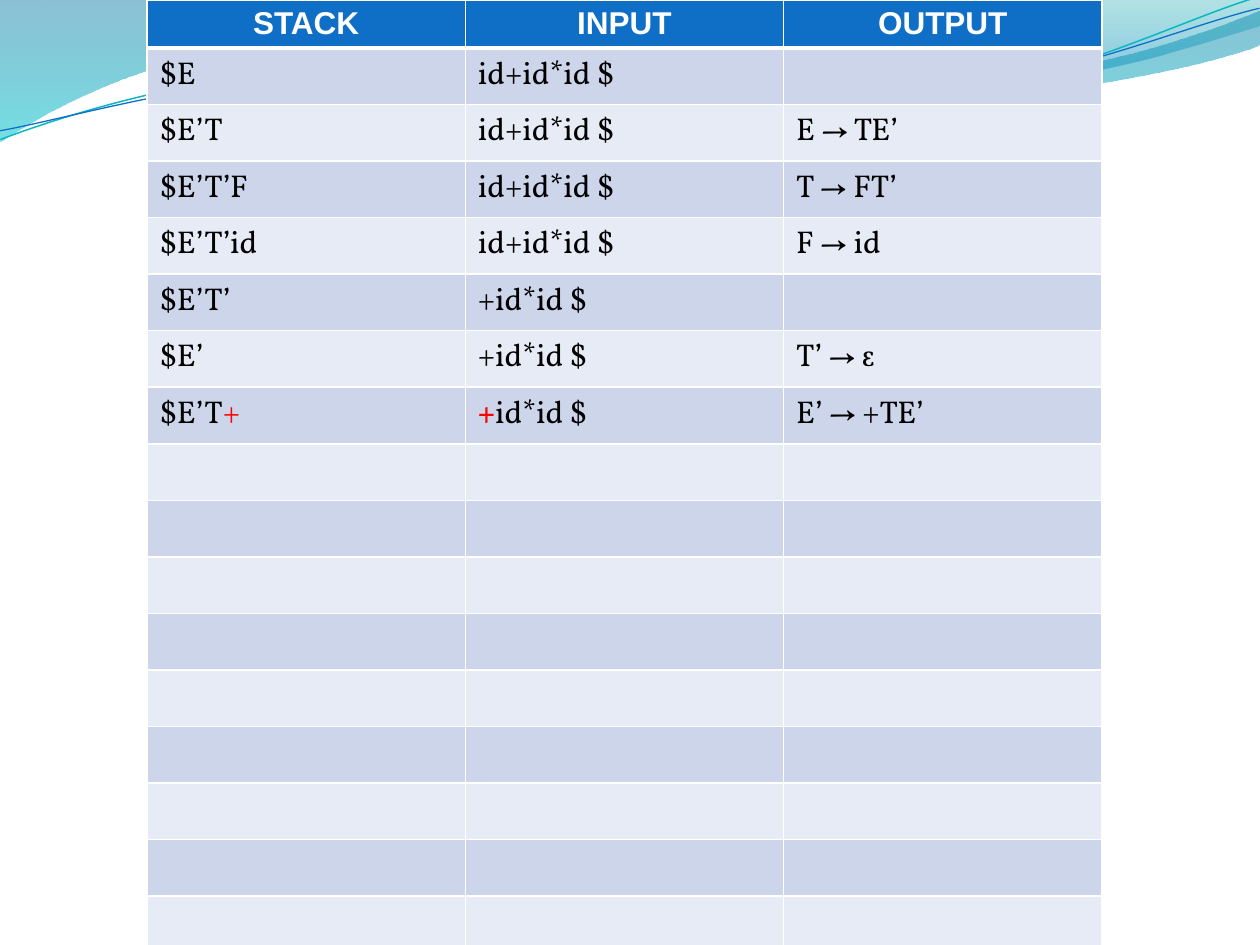
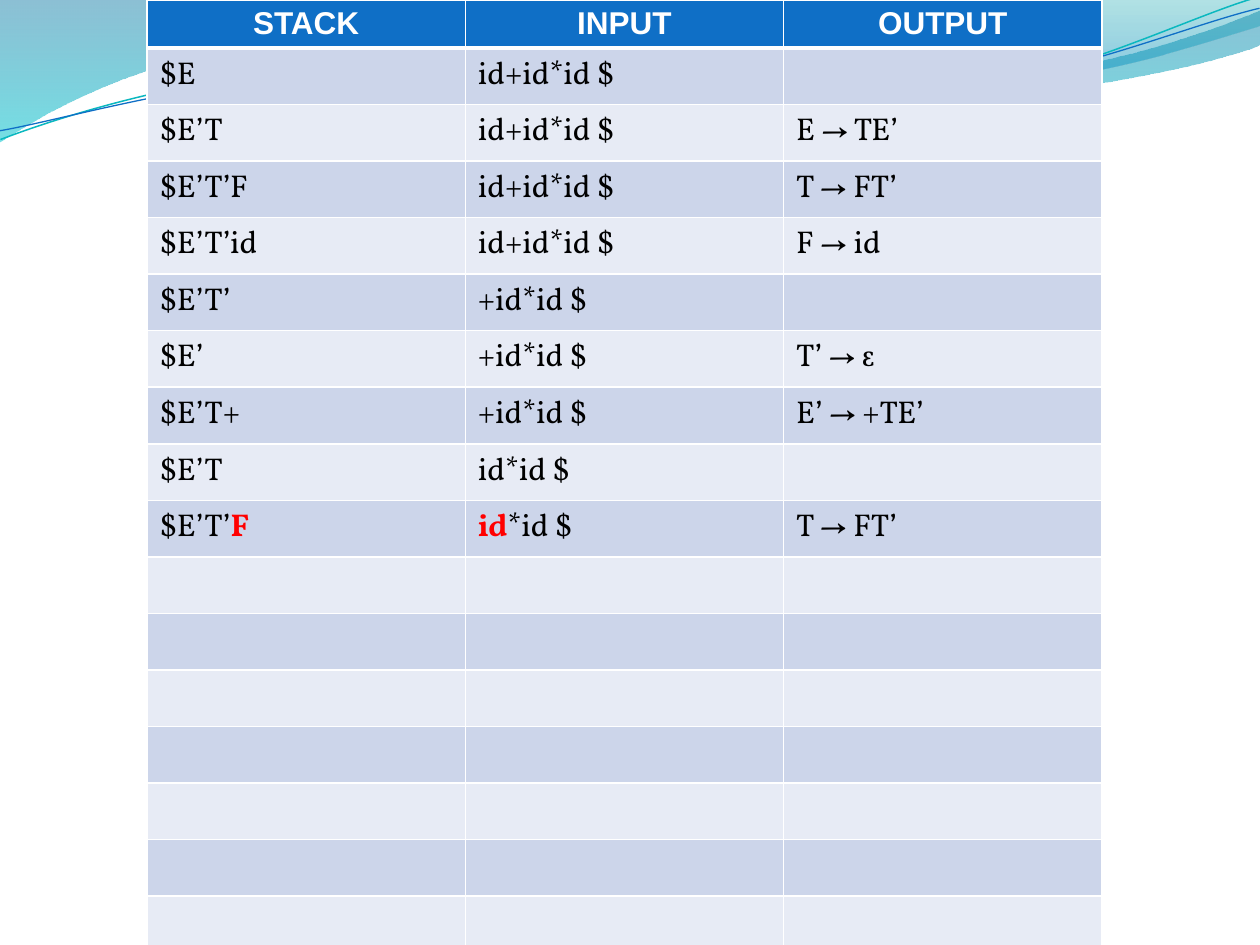
import collections
import itertools

import lxml.etree
import pptx
import pptx.dml.color
import pptx.enum.text
import pptx.oxml.ns
import pptx.util

EMU_PER_PX = 914400 / 126
SLIDE_WIDTH, SLIDE_HEIGHT = 1260, 945

HEADER_FONT, BODY_FONT = "Arial", "Vollkorn"
TEXT_SIZE = 18
WHITE, BLACK, RED = "FFFFFF", "000000", "FF0000"
HEADER_BLUE, TEAL = "0F6FC6", "0AB8BF"
BAND_COLOURS = ["CCD5EA", "E7EBF5"]
HEADER_BORDERS = {"lnL": 1, "lnR": 1, "lnT": 1, "lnB": 3}

TABLE_BOX = (147, 0, 955)
ROW_HEIGHT, ROW_COUNT = 40, 18
HEADINGS = ["STACK", "INPUT", "OUTPUT"]

Run = collections.namedtuple("Run", "text colour bold", defaults=(BLACK, False))

STEPS = [
    ("$E", "id+id*id $", ""),
    ("$E’T", "id+id*id $", "E → TE’"),
    ("$E’T’F", "id+id*id $", "T → FT’"),
    ("$E’T’id", "id+id*id $", "F → id"),
    ("$E’T’", "+id*id $", ""),
    ("$E’", "+id*id $", "T’ → ε"),
    ("$E’T+", "+id*id $", "E’ → +TE’"),
    ("$E’T", "id*id $", ""),
]
PLUS_STEP = (
    [Run("$E’T"), Run("+", RED)],
    [Run("+", RED, True), Run("id*id $")],
    "E’ → +TE’",
)
FACTOR_STEP = (
    [Run("$E’T’"), Run("F", RED, True)],
    [Run("id", RED, True), Run("*id $")],
    "T → FT’",
)
PARSE_TRACES = [STEPS[:6] + [PLUS_STEP], STEPS + [FACTOR_STEP]]

# Each outline is a list of segments: 2 numbers end a line, 6 numbers a cubic curve.
LARGE_WAVE = [
    (0, -1), (554, -1), (600, 21, 837, 79, 955, 79),
    (1075, 79, 1207, 33, 1260, 11), (1261, 45),
    (1239, 55, 1096, 96, 940, 95), (784, 95, 481, 35, 324, 43),
    (163, 44, 58, 105, -1, 142), (0, -1),
]
RIGHT_WAVE = [
    (604, -1), (641, 14, 859, 78, 969, 82),
    (1079, 87, 1211, 40, 1260, 26), (1260, 0), (604, -1),
]
TEAL_LINE = [
    (-2, 110), (58, 90, 200, 52, 350, 53),
    (499, 53, 745, 117, 896, 114), (1049, 109, 1184, 45, 1260, 27),
]
BLUE_LINE = [
    (-2, 101), (57, 94, 207, 57, 357, 58),
    (509, 58, 750, 111, 902, 108), (1052, 104, 1186, 52, 1262, 38),
]
LINE_ROTATION = 357.3


def px(length):
    return pptx.util.Emu(round(length * EMU_PER_PX))


def rgb(colour):
    return pptx.dml.color.RGBColor.from_string(colour)


def add_element(parent, name, **attributes):
    return lxml.etree.SubElement(parent, pptx.oxml.ns.qn(name), attributes)


def add_outline(slide, outline, close):
    """Draw lines through all points, then turn each control triple into a curve."""
    points = [
        (px(x), px(y))
        for segment in outline
        for x, y in zip(segment[::2], segment[1::2])
    ]
    builder = slide.shapes.build_freeform(*points[0], scale=1.0)
    builder.add_line_segments(points[1:], close=close)
    shape = builder.convert_to_shape()
    shape.shadow.inherit = False

    lines = iter(list(shape._element.iter(pptx.oxml.ns.qn("a:lnTo"))))
    for segment in outline[1:]:
        segment_lines = list(itertools.islice(lines, len(segment) // 2))
        if len(segment) == 6:
            curve = add_element(segment_lines[0].getparent(), "a:cubicBezTo")
            segment_lines[0].addprevious(curve)
            for line in segment_lines:
                curve.append(line[0])
                line.getparent().remove(line)
    return shape


def add_wave(slide, outline, stops):
    """Fill an outline from top to bottom; a stop is position, colour, opacity in %."""
    shape = add_outline(slide, outline, close=True)
    shape.line.fill.background()
    shape.fill.gradient()
    shape.fill.gradient_angle = 270
    for gradient_stop, (position, colour, _) in zip(shape.fill.gradient_stops, stops):
        gradient_stop.position = position / 100
        gradient_stop.color.rgb = rgb(colour)
    colours = list(shape._element.iter(pptx.oxml.ns.qn("a:srgbClr")))
    for element, (_, _, opacity) in zip(colours, stops):
        add_element(element, "a:alpha", val=str(opacity * 1000))


def add_wave_line(slide, outline, colour, width):
    shape = add_outline(slide, outline, close=False)
    shape.rotation = LINE_ROTATION
    shape.fill.background()
    shape.line.color.rgb = rgb(colour)
    shape.line.width = pptx.util.Pt(width)


def add_wave_band(slide):
    add_wave(slide, LARGE_WAVE, [(0, "0074A1", 45), (100, "00C6CF", 55)])
    add_wave(slide, RIGHT_WAVE, [(0, "00A1A9", 30), (80, "008BBF", 45)])
    add_wave_line(slide, TEAL_LINE, TEAL, 0.85)
    add_wave_line(slide, BLUE_LINE, HEADER_BLUE, 0.75)


def size_empty_paragraph(paragraph):
    """Give a paragraph without text the body font, so its row is as tall as the rest."""
    end = add_element(paragraph._p, "a:endParaRPr", sz=str(TEXT_SIZE * 100))
    add_element(end, "a:latin", typeface=BODY_FONT)


def set_header_borders(cell):
    properties = cell._tc.get_or_add_tcPr()
    for index, (side, width) in enumerate(HEADER_BORDERS.items()):
        border = add_element(properties, f"a:{side}", w=str(pptx.util.Pt(width)))
        add_element(add_element(border, "a:solidFill"), "a:srgbClr", val=WHITE)
        properties.insert(index, border)


def fill_cell(cell, fill_colour, runs, font_name):
    cell.fill.solid()
    cell.fill.fore_color.rgb = rgb(fill_colour)
    paragraph = cell.text_frame.paragraphs[0]
    for part in runs:
        run = paragraph.add_run()
        run.text = part.text
        run.font.name = font_name
        run.font.size = pptx.util.Pt(TEXT_SIZE)
        run.font.bold = part.bold
        run.font.color.rgb = rgb(part.colour)
    if not runs:
        size_empty_paragraph(paragraph)


def as_runs(content):
    if isinstance(content, str):
        return [Run(content)] if content else []
    return content


def add_parse_table(slide, left, top, width, steps):
    frame = slide.shapes.add_table(
        ROW_COUNT, len(HEADINGS), px(left), px(top), px(width), px(ROW_HEIGHT * ROW_COUNT)
    )
    table = frame.table
    for column in table.columns:
        column.width = px(width / len(HEADINGS))
    for row in table.rows:
        row.height = px(ROW_HEIGHT)

    for column, heading in enumerate(HEADINGS):
        cell = table.cell(0, column)
        fill_cell(cell, HEADER_BLUE, [Run(heading, WHITE, True)], HEADER_FONT)
        set_header_borders(cell)
        cell.text_frame.paragraphs[0].alignment = pptx.enum.text.PP_ALIGN.CENTER

    blank_steps = [("",) * len(HEADINGS)] * (ROW_COUNT - 1 - len(steps))
    for row, step in enumerate(steps + blank_steps, start=1):
        band_colour = BAND_COLOURS[(row - 1) % 2]
        for column, content in enumerate(step):
            fill_cell(table.cell(row, column), band_colour, as_runs(content), BODY_FONT)


def add_parse_slide(presentation, steps):
    slide = presentation.slides.add_slide(presentation.slide_layouts[6])
    add_wave_band(slide)
    add_parse_table(slide, *TABLE_BOX, steps)


def main():
    presentation = pptx.Presentation()
    presentation.slide_width = px(SLIDE_WIDTH)
    presentation.slide_height = px(SLIDE_HEIGHT)
    for steps in PARSE_TRACES:
        add_parse_slide(presentation, steps)
    presentation.save("out.pptx")


if __name__ == "__main__":
    main()
